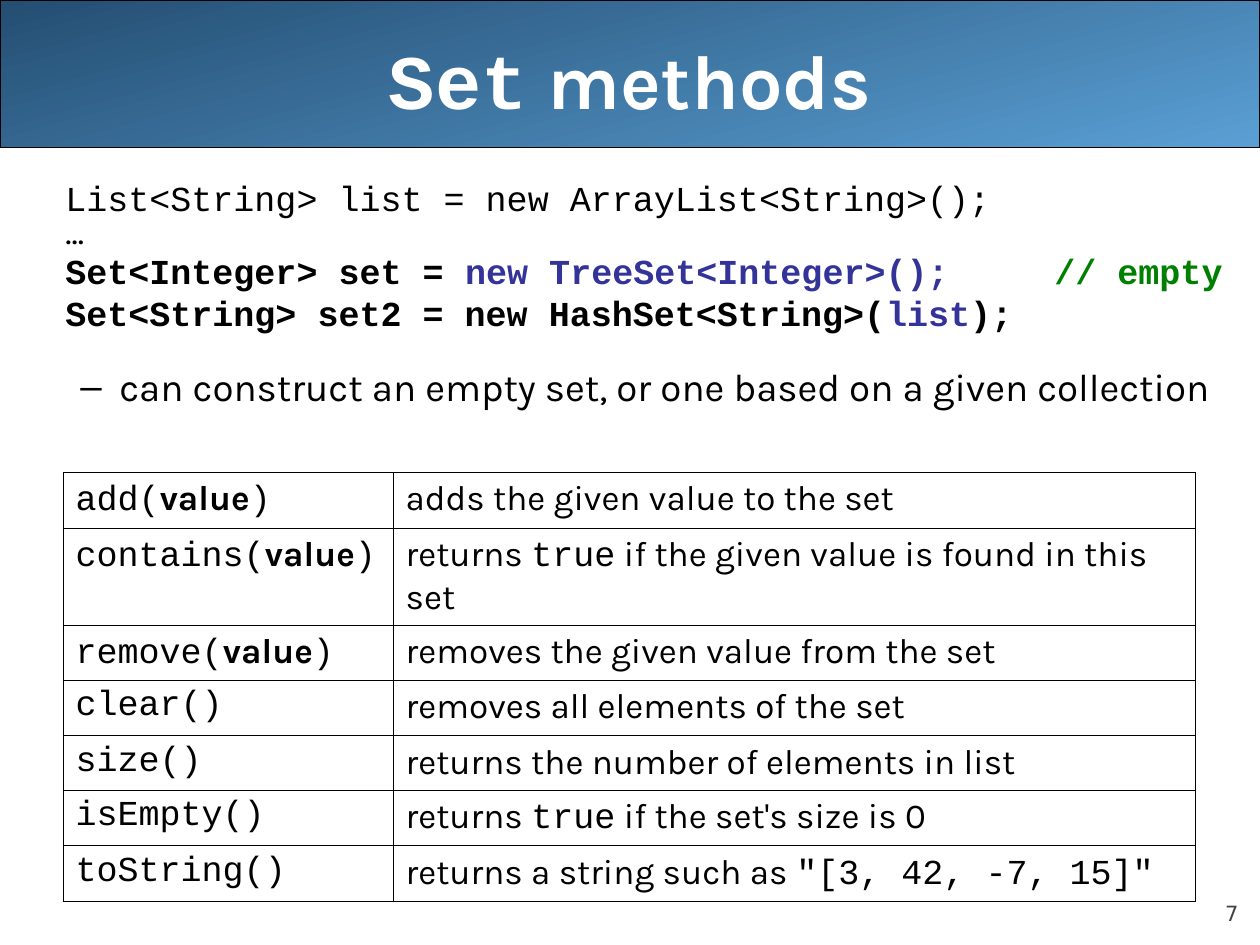
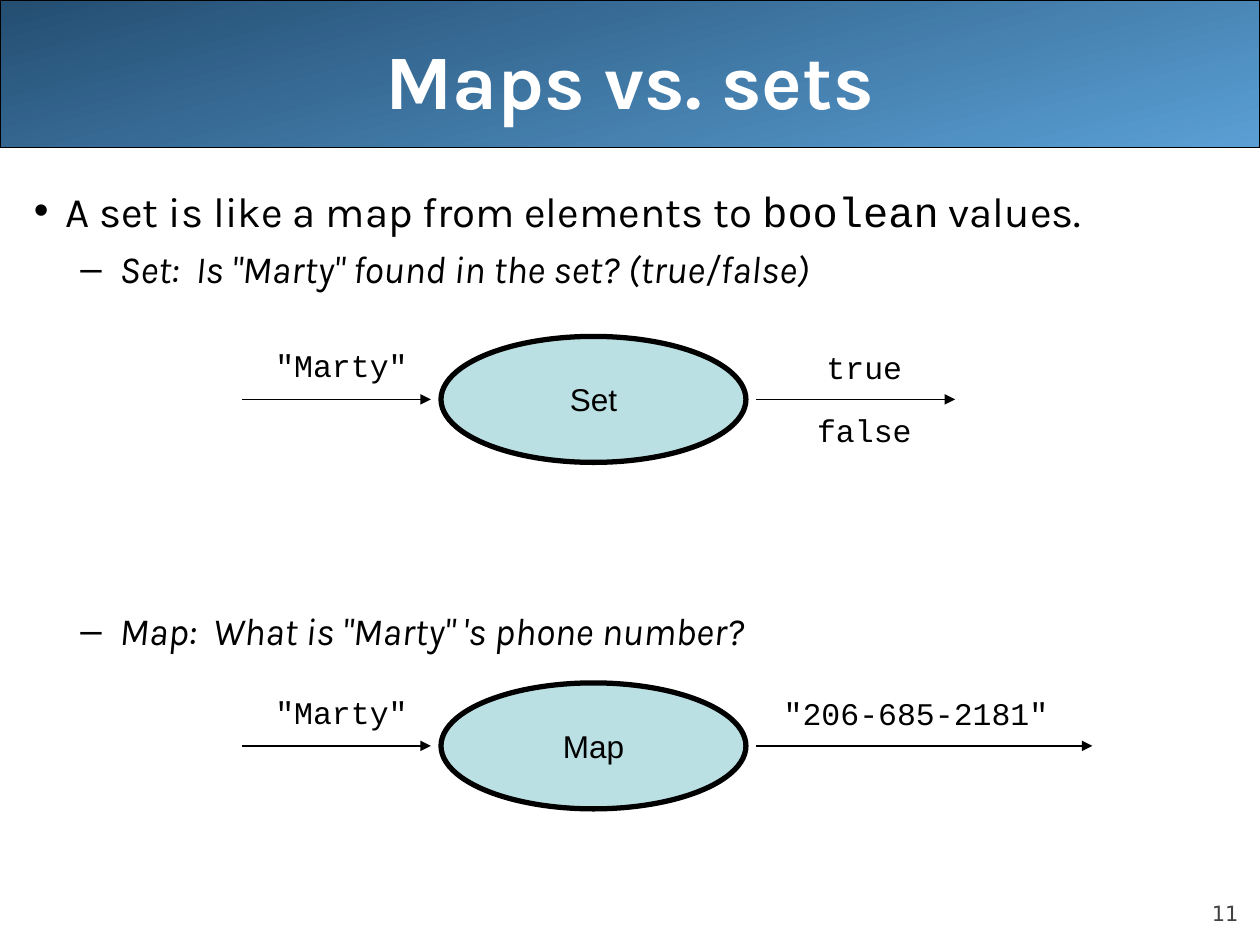
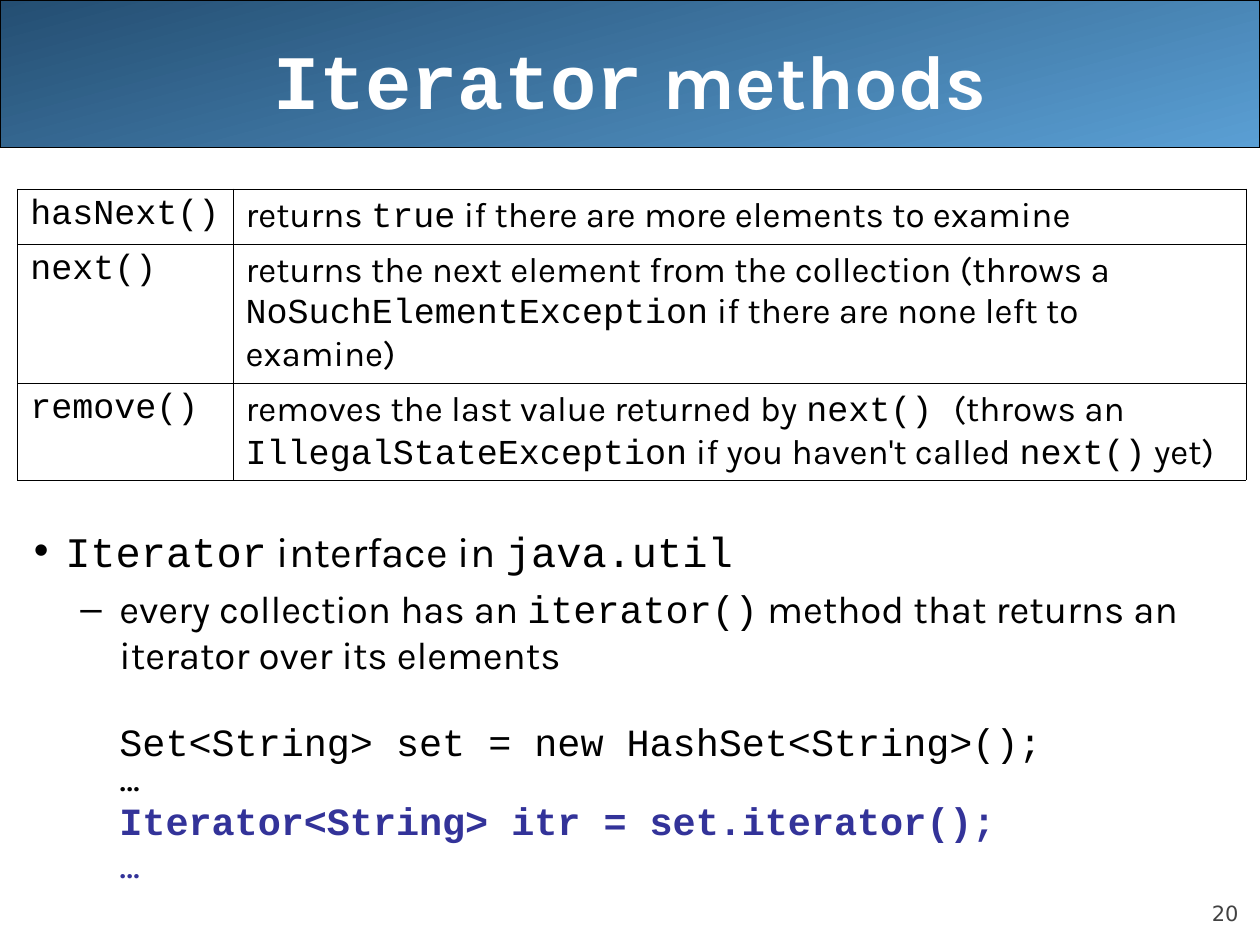
from dataclasses import dataclass

from lxml import etree
from pptx import Presentation
from pptx.dml.color import RGBColor
from pptx.enum.shapes import MSO_CONNECTOR, MSO_SHAPE
from pptx.enum.text import MSO_ANCHOR, PP_ALIGN
from pptx.oxml.ns import qn
from pptx.util import Inches, Pt

LEFT, CENTER, RIGHT = PP_ALIGN.LEFT, PP_ALIGN.CENTER, PP_ALIGN.RIGHT
TOP, MIDDLE, BOTTOM = MSO_ANCHOR.TOP, MSO_ANCHOR.MIDDLE, MSO_ANCHOR.BOTTOM
BAND, OVAL = MSO_SHAPE.ROUNDED_RECTANGLE, MSO_SHAPE.OVAL
STRAIGHT = MSO_CONNECTOR.STRAIGHT


@dataclass(frozen=True)
class Theme:
    sans: str = "Karla"
    mono: str = "Courier New"
    plain: str = "Arial"
    small: str = "DejaVu Sans"
    black: str = "000000"
    white: str = "FFFFFF"
    gray: str = "424242"
    dark: str = "244E72"
    light: str = "5A9FD4"
    pale: str = "BBE0E3"
    blue: str = "333399"
    green: str = "008000"
    title: int = 44
    point: int = 24
    sub: int = 22
    code: int = 20
    label: int = 18
    number: int = 12


T = Theme()


def rgb(color):
    return RGBColor.from_string(color)


def code(text, **fmt):
    return text, {"face": T.mono, **fmt}


def sans(text, **fmt):
    return text, {"face": T.sans, **fmt}


def add_run(para, text, face=T.sans, size=T.code, color=T.black,
            bold=False, italic=False):
    run = para.add_run()
    run.text = text
    font = run.font
    font.name, font.size = face, Pt(size)
    font.bold, font.italic = bold, italic
    font.color.rgb = rgb(color)


def fill_para(para, runs, align=LEFT, mark=None, margin=0, hang=0,
              before=0, lines=None, **base):
    props = para._p.get_or_add_pPr()
    para.alignment = align
    para.space_before = Pt(before)
    if lines:
        para.line_spacing = lines
    props.set("marL", str(Inches(margin)))
    props.set("indent", str(Inches(-hang)))
    if mark:
        tint = etree.SubElement(props, qn("a:buClr"))
        etree.SubElement(tint, qn("a:srgbClr"), val=T.black)
        etree.SubElement(props, qn("a:buFont"), typeface=T.plain)
        etree.SubElement(props, qn("a:buChar"), char=mark)
    else:
        etree.SubElement(props, qn("a:buNone"))
    for text, fmt in runs:
        add_run(para, text, **{**base, **fmt})


def point(*runs, **fmt):
    return runs, {"mark": "•", "margin": 0.25, "hang": 0.25,
                  "size": T.point, **fmt}


def sub(*runs, **fmt):
    return runs, {"mark": "–", "margin": 0.68, "hang": 0.31,
                  "before": 5.5, "size": T.sub, **fmt}


def line(*runs, **fmt):
    return runs, {"margin": 0.25, "lines": 0.8, "before": 5, **fmt}


def add_text(slide, paras, left, top, width, height, anchor=TOP,
             wrap=True, pad=True):
    frame = slide.shapes.add_textbox(
        Inches(left), Inches(top), Inches(width), Inches(height)).text_frame
    frame.word_wrap = wrap
    frame.vertical_anchor = anchor
    if not pad:
        frame.margin_left = frame.margin_right = 0
        frame.margin_top = frame.margin_bottom = 0
    for i, (runs, fmt) in enumerate(paras):
        para = frame.add_paragraph() if i else frame.paragraphs[0]
        fill_para(para, runs, **fmt)


def add_body(slide, paras, top=1.42):
    add_text(slide, paras, 0.17, top, 9.83, 7.09 - top)


def add_page(deck, number, *title):
    slide = deck.slides.add_slide(deck.slide_layouts[6])
    band = slide.shapes.add_shape(BAND, 0, 0, Inches(10), Inches(1.17))
    band.shadow.inherit = False
    band.adjustments[0] = 0
    band.fill.gradient()
    band.fill.gradient_angle = 285
    for stop, color, place in zip(band.fill.gradient_stops,
                                  (T.dark, T.light), (0, 1)):
        stop.color.rgb = rgb(color)
        stop.position = place
    band.line.color.rgb = rgb(T.black)
    band.line.width = Pt(0.75)
    add_text(slide, [([(str(number), {})], {
        "align": RIGHT, "face": T.small, "size": T.number, "color": T.gray})],
        9, 6.95, 0.83, 0.4, BOTTOM, pad=False)
    add_text(slide, [(title, {
        "align": CENTER, "size": T.title, "color": T.white, "bold": True})],
        0.5, 0, 9, 1.25, MIDDLE)
    return slide


def add_edges(cell):
    props = cell._tc.get_or_add_tcPr()
    for i, side in enumerate(("lnL", "lnR", "lnT", "lnB")):
        edge = etree.Element(qn("a:" + side), w=str(Pt(0.45)))
        fill = etree.SubElement(edge, qn("a:solidFill"))
        etree.SubElement(fill, qn("a:srgbClr"), val=T.black)
        props.insert(i, edge)


def add_grid(slide, rows, left, top, widths, heights):
    table = slide.shapes.add_table(
        len(rows), len(widths), Inches(left), Inches(top),
        Inches(sum(widths)), Inches(sum(heights))).table
    table.first_row = table.horz_banding = False
    for col, width in zip(table.columns, widths):
        col.width = Inches(width)
    for row, height, cells in zip(table.rows, heights, rows):
        row.height = Inches(height)
        for cell, runs in zip(row.cells, cells):
            cell.fill.background()
            add_edges(cell)
            fill_para(cell.text_frame.paragraphs[0], runs)


def add_arrow(slide, start, end, y):
    arrow = slide.shapes.add_connector(
        STRAIGHT, Inches(start), Inches(y), Inches(end), Inches(y))
    arrow.line.color.rgb = rgb(T.black)
    arrow.line.width = Pt(0.75)
    etree.SubElement(arrow.line._get_or_add_ln(), qn("a:tailEnd"),
                     type="triangle")
    etree.SubElement(arrow._element.spPr, qn("a:effectLst"))


def add_label(slide, text, mid, top, width=2.3):
    add_text(slide, [([code(text)], {"align": CENTER, "size": T.label})],
             mid - width / 2, top, width, 0.4, wrap=False)


def add_lookup(slide, name, y, end, mid, answers):
    oval = slide.shapes.add_shape(
        OVAL, Inches(3.5), Inches(y - 0.5), Inches(2.42), Inches(1))
    oval.shadow.inherit = False
    oval.fill.solid()
    oval.fill.fore_color.rgb = rgb(T.pale)
    oval.line.color.rgb = rgb(T.black)
    oval.line.width = Pt(3)
    oval.text_frame.word_wrap = False
    oval.text_frame.vertical_anchor = MIDDLE
    fill_para(oval.text_frame.paragraphs[0], [(name, {})], align=CENTER,
              face=T.plain, size=T.label)
    add_arrow(slide, 1.92, 3.42, y)
    add_label(slide, '"Marty"', 2.71, y - 0.47)
    add_arrow(slide, 6, end, y)
    for i, text in enumerate(answers):
        add_label(slide, text, mid, y - 0.46 + 0.5 * i)


def set_page(deck):
    slide = add_page(deck, 7, code("Set"), sans(" methods"))
    add_body(slide, [
        line(code("List<String> list = new ArrayList<String>();"), before=0),
        line(sans("..."), lines=0.5),
        line(code("Set<Integer> set = "),
             code("new TreeSet<Integer>();", color=T.blue), bold=True),
        line(code("Set<String> set2 = new HashSet<String>("),
             code("list", color=T.blue), code(");"), bold=True),
        sub(sans("can construct an empty set, or one based on a given "
                 "collection"), before=17),
    ])
    add_text(slide, [([code("// empty", color=T.green, bold=True)], {})],
             8.27, 1.93, 1.6, 0.4, wrap=False)
    takes = [[code(name + "("), sans("value", bold=True), code(")")]
             for name in ("add", "contains", "remove")]
    bare = [[code(name + "()")]
            for name in ("clear", "size", "isEmpty", "toString")]
    notes = [
        [sans("adds the given value to the set")],
        [sans("returns "), code("true"),
         sans(" if the given value is found in this set")],
        [sans("removes the given value from the set")],
        [sans("removes all elements of the set")],
        [sans("returns the number of elements in list")],
        [sans("returns "), code("true"), sans(" if the set's size is 0")],
        [sans("returns a string such as "), code('"[3, 42, -7, 15]"')],
    ]
    add_grid(slide, list(zip(takes + bare, notes)), 0.5, 3.75,
             [2.62, 6.37], [0.44, 0.77, 0.44, 0.44, 0.43, 0.44, 0.44])


def map_page(deck):
    slide = add_page(deck, 11, sans("Maps vs. sets"))
    add_body(slide, [
        point(sans("A set is like a map from elements to "),
              code("boolean"), sans(" values.")),
        sub(sans('Set:  Is "Marty" found in the set? (true/false)'),
            italic=True),
        sub(sans('Map:  What is "Marty" \'s phone number?'),
            italic=True, before=180.5),
    ])
    add_lookup(slide, "Set", 3.17, 7.58, 6.86, ["true", "false"])
    add_lookup(slide, "Map", 5.92, 8.67, 7.27, ['"206-685-2181"'])


def iter_page(deck):
    slide = add_page(deck, 20, code("Iterator"), sans(" methods"))
    deep = {"margin": 0.68, "before": 5.5, "size": T.sub}
    add_body(slide, [
        point(code("Iterator"), sans(" interface in "), code("java.util")),
        sub(sans("every collection has an "), code("iterator()"),
            sans(" method that returns an iterator over its elements")),
        line(code("Set<String> set = new HashSet<String>();"),
             **{**deep, "before": 28}),
        line(sans("..."), lines=0.5, **deep),
        line(code("Iterator<String> itr = set.iterator();"),
             color=T.blue, bold=True, **deep),
        line(sans("..."), lines=0.7, color=T.blue, **deep),
    ], 4.12)
    rows = [
        ([code("hasNext()")],
         [sans("returns "), code("true"),
          sans(" if there are more elements to examine")]),
        ([code("next()")],
         [sans("returns the next element from the collection (throws a "),
          code("NoSuchElementException"),
          sans(" if there are none left to examine)")]),
        ([code("remove()")],
         [sans("removes the last value returned by "), code("next() "),
          sans("(throws an "), code("IllegalStateException"),
          sans(" if you haven't called "), code("next()"), sans(" yet)")]),
    ]
    add_grid(slide, rows, 0.14, 1.5, [1.71, 8.04], [0.44, 1.1, 0.77])


def main():
    deck = Presentation()
    deck.slide_width, deck.slide_height = Inches(10), Inches(7.5)
    set_page(deck)
    map_page(deck)
    iter_page(deck)
    deck.save("out.pptx")


if __name__ == "__main__":
    main()
